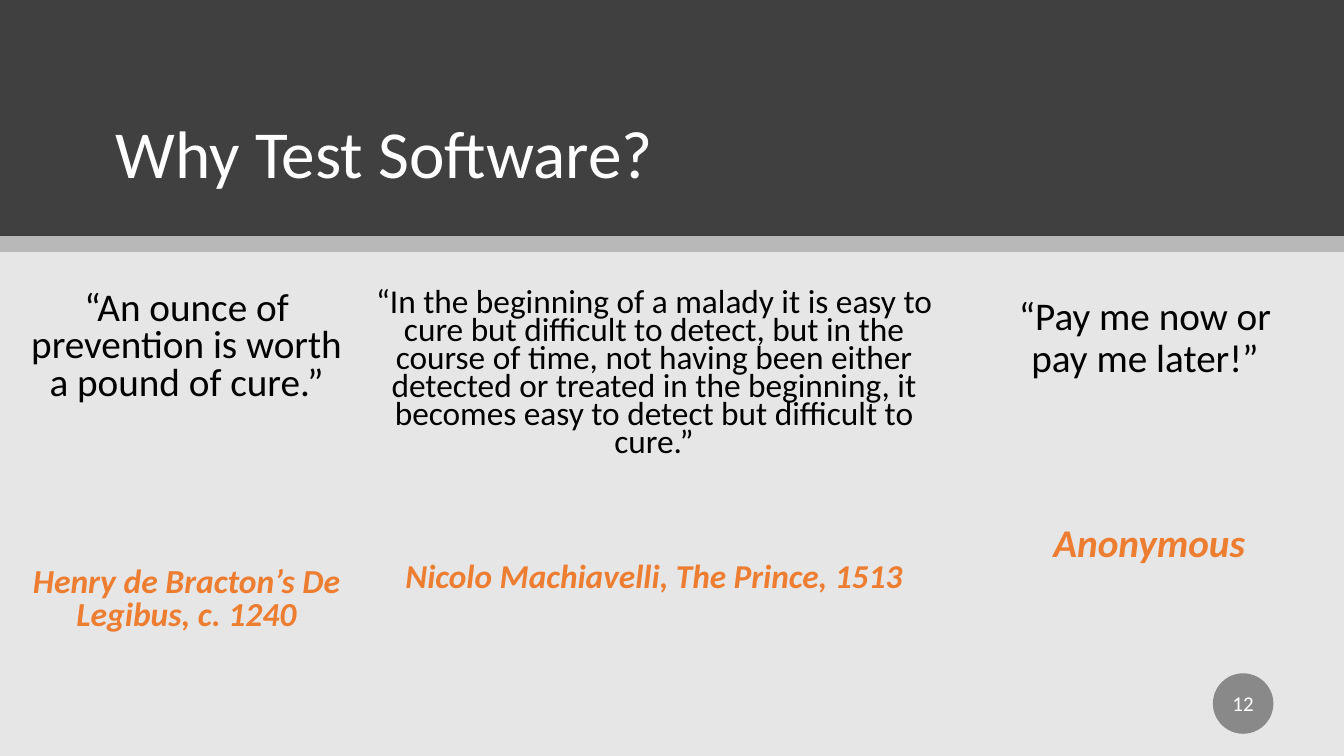
import pptx
import pptx.dml.color
import pptx.enum.shapes
import pptx.enum.text
import pptx.oxml
import pptx.oxml.ns
import pptx.util

WIDTH, HEIGHT = 13.33, 7.5
HEADER_HEIGHT = 2.34
STRIP_HEIGHT = HEIGHT / 3 - HEADER_HEIGHT
COLORS = {
    "background": "E7E6E6",
    "header": "404040",
    "strip": "000000",
    "quote": "000000",
    "source": "ED7D31",
    "badge": "898989",
    "light": "FFFFFF",
}
SHAPES = pptx.enum.shapes.MSO_SHAPE
ALIGN = pptx.enum.text.PP_ALIGN
ANCHOR = pptx.enum.text.MSO_ANCHOR

presentation = pptx.Presentation()
presentation.slide_width = pptx.util.Inches(WIDTH)
presentation.slide_height = pptx.util.Inches(HEIGHT)
slide = presentation.slides.add_slide(presentation.slide_layouts[6])


def add_filled_shape(kind, box, color):
    shape = slide.shapes.add_shape(kind, *map(pptx.util.Inches, box))
    shape.shadow.inherit = False
    shape.fill.solid()
    shape.fill.fore_color.rgb = pptx.dml.color.RGBColor.from_string(COLORS[color])
    shape.line.fill.background()
    return shape


def write_paragraph(paragraph, text, color, size, paragraph_format, **font_format):
    """Fill a paragraph with one run and apply both sets of format values."""
    run = paragraph.add_run()
    run.text = text
    run.font.color.rgb = pptx.dml.color.RGBColor.from_string(COLORS[color])
    font_values = {"name": "Calibri", "size": pptx.util.Pt(size), **font_format}
    for target, values in ((run.font, font_values), (paragraph, paragraph_format)):
        for name, value in values.items():
            setattr(target, name, value)


# Background, header and translucent strip
add_filled_shape(SHAPES.RECTANGLE, (0, 0, WIDTH, HEIGHT), "background")
add_filled_shape(SHAPES.RECTANGLE, (0, 0, WIDTH, HEADER_HEIGHT), "header")
strip = add_filled_shape(SHAPES.RECTANGLE, (0, HEADER_HEIGHT, WIDTH, STRIP_HEIGHT), "strip")
strip_color = strip.fill._xPr.find(".//" + pptx.oxml.ns.qn("a:srgbClr"))
strip_color.append(pptx.oxml.parse_xml(
    f'<a:alpha {pptx.oxml.ns.nsdecls("a")} val="20000"/>'))

# Quotes: box, text, size, source, source size, line spacing, gap before source
quotes = [
    ((0.11, 2.84, 3.48, 3.84),
     "“An ounce of prevention is worth a pound of cure.”", 28,
     "Henry de Bracton’s De Legibus, c. 1240", 24, 0.8, 117),
    ((3.59, 2.84, 5.79, 3.33),
     "“In the beginning of a malady it is easy to cure but difficult to detect, "
     "but in the course of time, not having been either detected or treated in the "
     "beginning, it becomes easy to detect but difficult to cure.”", 23.8,
     "Nicolo Machiavelli, The Prince, 1513", 23.8, 0.7, 76),
    ((9.83, 2.89, 3.05, 2.81),
     "“Pay me now or pay me later!”", 28,
     " Anonymous", 28, 0.9, 102),
]
for box, quote, quote_size, source, source_size, spacing, gap in quotes:
    frame = slide.shapes.add_textbox(*map(pptx.util.Inches, box)).text_frame
    frame.word_wrap = True
    layout = {"alignment": ALIGN.CENTER, "line_spacing": spacing}
    write_paragraph(frame.paragraphs[0], quote, "quote", quote_size, layout)
    write_paragraph(frame.add_paragraph(), source, "source", source_size,
                    {**layout, "space_before": pptx.util.Pt(gap)}, bold=True, italic=True)

# Title
title_box = (1.05, 0.47, 11.24, 1.49)
title = slide.shapes.add_textbox(*map(pptx.util.Inches, title_box)).text_frame
title.word_wrap = True
title.vertical_anchor = ANCHOR.BOTTOM
write_paragraph(title.paragraphs[0], "Why Test Software?", "light", 48, {"line_spacing": 0.9})

# Page number badge
badge = add_filled_shape(SHAPES.OVAL, (12.03, 6.68, 0.6, 0.6), "badge").text_frame
badge.vertical_anchor = ANCHOR.MIDDLE
for side in ("left", "right", "top", "bottom"):
    setattr(badge, f"margin_{side}", 0)
write_paragraph(badge.paragraphs[0], "12", "light", 15, {"alignment": ALIGN.CENTER})

presentation.save("out.pptx")
